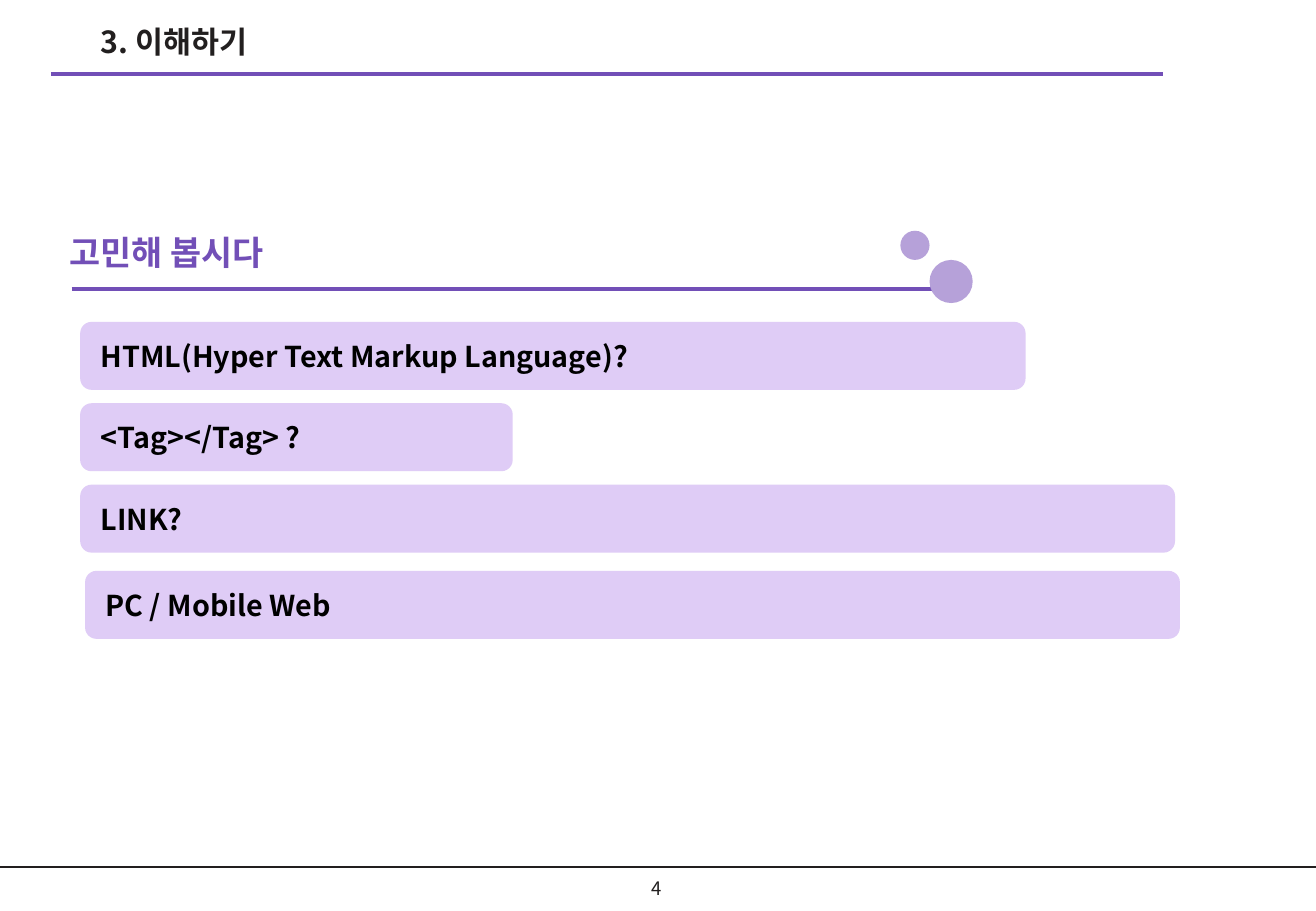
from typing import NamedTuple

from lxml import etree
from pptx import Presentation
from pptx.dml.color import RGBColor
from pptx.enum import shapes, text
from pptx.oxml import ns
from pptx.util import Inches, Pt

FONT = "Noto Sans CJK KR"
INK = RGBColor(0x22, 0x1F, 0x1F)
BLACK = RGBColor(0x00, 0x00, 0x00)
PURPLE = RGBColor(0x72, 0x4F, 0xB7)
LILAC = RGBColor(0xB6, 0xA1, 0xD9)
LAVENDER = RGBColor(0xDF, 0xCC, 0xF6)

BAR_HEIGHT = 0.56


class Rule(NamedTuple):
    left: float
    right: float
    top: float
    color: RGBColor
    width: float


class Dot(NamedTuple):
    left: float
    top: float
    size: float


class Bar(NamedTuple):
    left: float
    top: float
    width: float
    label: str


RULES = [
    Rule(0, 10.83, 7.14, INK, 1),
    Rule(0.42, 9.57, 0.61, PURPLE, 2.25),
    Rule(0.59, 7.88, 2.38, PURPLE, 2.25),
]
DOTS = [Dot(7.65, 2.14, 0.355), Dot(7.41, 1.9, 0.24)]
BARS = [
    Bar(0.66, 2.65, 7.78, "HTML(Hyper Text Markup Language)?"),
    Bar(0.66, 3.32, 3.56, "<Tag></Tag> ?"),
    Bar(0.66, 3.99, 9.01, "LINK?"),
    Bar(0.7, 4.7, 9.01, "PC / Mobile Web"),
]


def write(shape, content: str, size: float, color: RGBColor, bold: bool = True,
          align=text.PP_ALIGN.LEFT, anchor=text.MSO_ANCHOR.MIDDLE,
          inset: tuple[float, float] = (0.1, 0.05)) -> None:
    """Fill a shape with one formatted paragraph."""
    frame = shape.text_frame
    side, edge = Inches(inset[0]), Inches(inset[1])
    frame_format = {
        "word_wrap": True, "auto_size": text.MSO_AUTO_SIZE.NONE,
        "vertical_anchor": anchor, "margin_left": side, "margin_right": side,
        "margin_top": edge, "margin_bottom": edge,
    }
    for name, value in frame_format.items():
        setattr(frame, name, value)
    paragraph = frame.paragraphs[0]
    paragraph.alignment = align
    run = paragraph.add_run()
    run.text = content
    for name, value in {"name": FONT, "size": Pt(size), "bold": bold}.items():
        setattr(run.font, name, value)
    run.font.color.rgb = color
    # Korean glyphs take the East Asian typeface
    properties = run.font._element
    etree.SubElement(properties, ns.qn("a:ea")).set("typeface", FONT)


def draw_rule(slide, rule: Rule) -> None:
    line = slide.shapes.add_connector(
        shapes.MSO_CONNECTOR.STRAIGHT, Inches(rule.left), Inches(rule.top),
        Inches(rule.right), Inches(rule.top))
    line.line.color.rgb = rule.color
    line.line.width = Pt(rule.width)
    etree.SubElement(line._element.spPr, ns.qn("a:effectLst"))


def draw_shape(slide, kind, left: float, top: float, width: float,
               height: float, color: RGBColor):
    shape = slide.shapes.add_shape(
        kind, Inches(left), Inches(top), Inches(width), Inches(height))
    shape.shadow.inherit = False
    shape.fill.solid()
    shape.fill.fore_color.rgb = color
    shape.line.fill.background()
    return shape


def draw_text_box(slide, left: float, top: float, width: float, height: float):
    return slide.shapes.add_textbox(
        Inches(left), Inches(top), Inches(width), Inches(height))


def main() -> None:
    presentation = Presentation()
    presentation.slide_width = Inches(10.83)
    presentation.slide_height = Inches(7.5)
    slide = presentation.slides.add_slide(presentation.slide_layouts[5])

    # Slide title
    title = slide.shapes.title
    title_place = {"left": 0.73, "top": 0.14, "width": 5.55, "height": 0.48}
    for name, value in title_place.items():
        setattr(title, name, Inches(value))
    write(title, "3. 이해하기", 18, INK, anchor=text.MSO_ANCHOR.TOP)

    # Rules and the dots at the end of the heading rule
    for rule in RULES:
        draw_rule(slide, rule)
    for dot in DOTS:
        draw_shape(slide, shapes.MSO_SHAPE.OVAL, dot.left, dot.top,
                   dot.size, dot.size, LILAC)

    # Section heading
    heading = draw_text_box(slide, 0.47, 1.86, 1.95, 0.44)
    write(heading, "고민해 봅시다", 20, PURPLE, anchor=text.MSO_ANCHOR.TOP)

    # Question bars
    for bar in BARS:
        shape = draw_shape(slide, shapes.MSO_SHAPE.FLOWCHART_ALTERNATE_PROCESS,
                           bar.left, bar.top, bar.width, BAR_HEIGHT, LAVENDER)
        write(shape, bar.label, 17, BLACK, inset=(0.14, 0.07))

    # Page number
    page_number = draw_text_box(slide, 5.1, 7.15, 0.61, 0.33)
    write(page_number, "4", 11, INK, bold=False, align=text.PP_ALIGN.CENTER)

    presentation.save("out.pptx")


if __name__ == "__main__":
    main()
